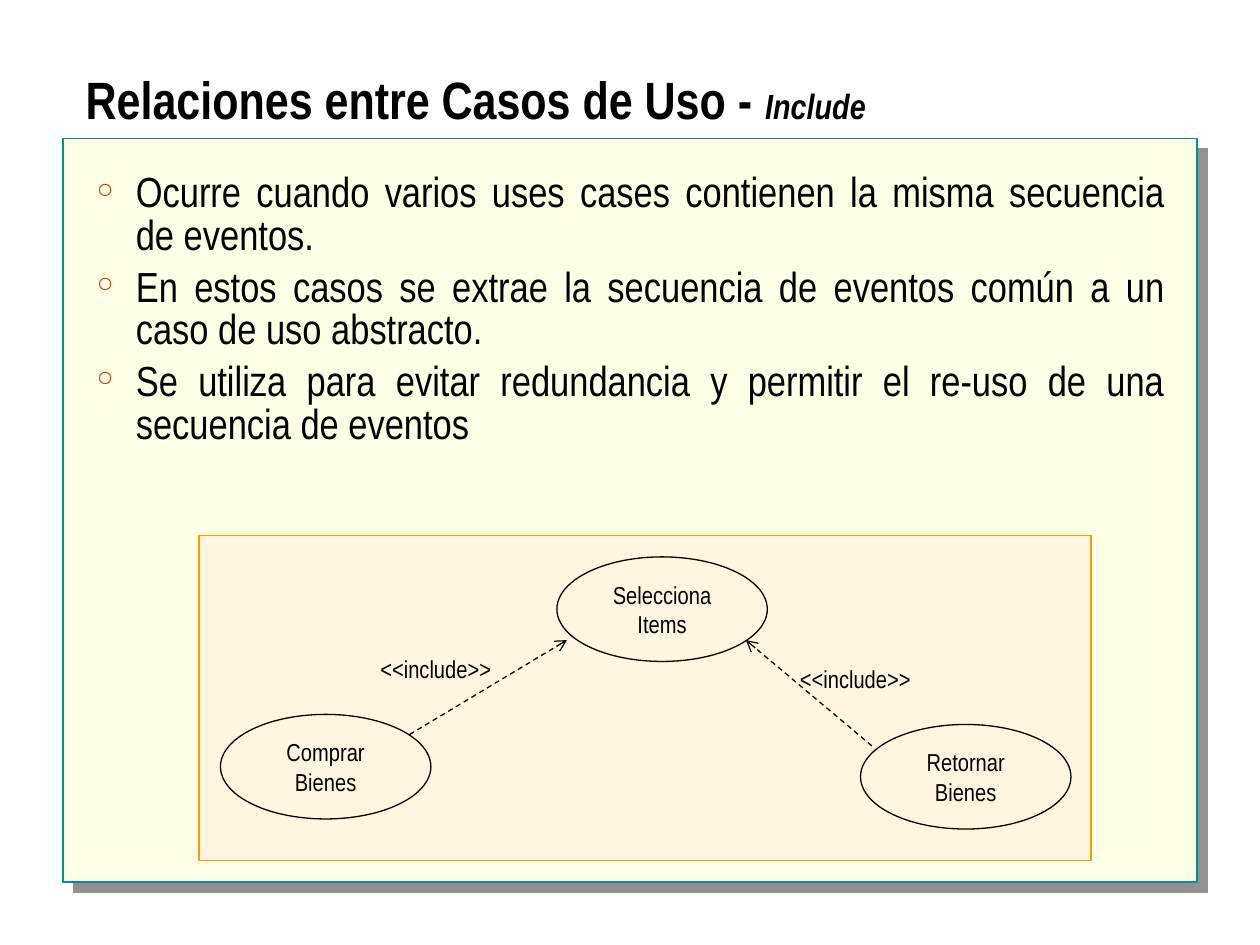
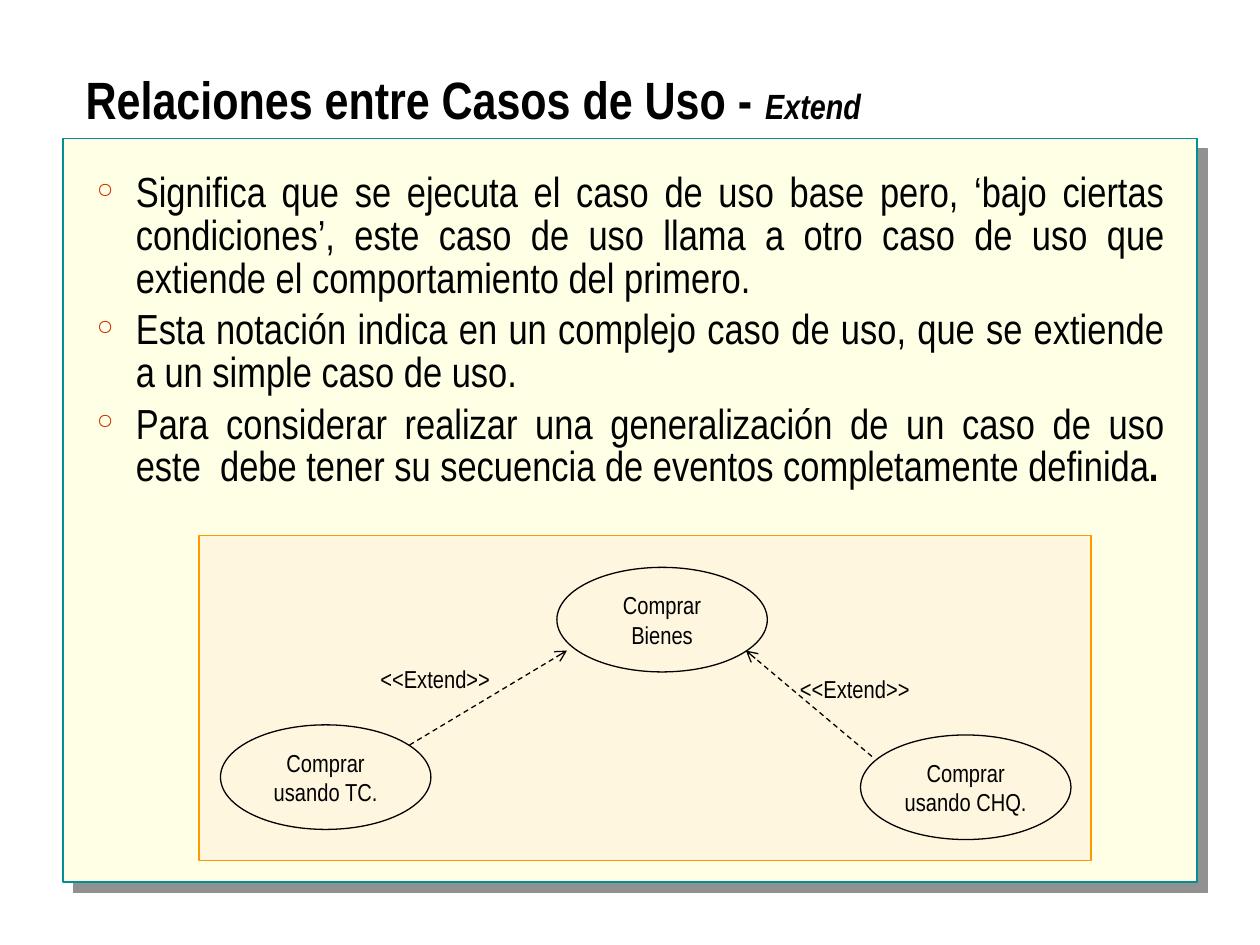
"""Build two slides on use case relations: include and extend."""
import dataclasses
import typing

import lxml.etree
import pptx
import pptx.dml.color
import pptx.enum.dml
import pptx.enum.shapes
import pptx.enum.text
import pptx.oxml.ns
import pptx.util

Inches = pptx.util.Inches
Pt = pptx.util.Pt
Align = pptx.enum.text.PP_ALIGN
Anchor = pptx.enum.text.MSO_ANCHOR
Kind = pptx.enum.shapes.MSO_SHAPE

FONT = "Arial Narrow"
BLACK = "000000"
CREAM, TEAL, GREY = "FFFFE5", "009094", "919191"
PEACH, AMBER, RED = "FFEEDD", "FF9900", "CC3300"
STEP = 1 / 12
OVAL_W, OVAL_H = 1.67, 0.83


@dataclasses.dataclass
class Run:
    """A stretch of text with its own format."""
    text: str
    size: float = 14
    bold: bool = False
    slant: bool = False


@dataclasses.dataclass
class Topic:
    """The content of one slide."""
    name: str
    points: list[list[Run]]
    label: str
    cases: list[str]
    drop: float = 0


def color(code: str) -> pptx.dml.color.RGBColor:
    """Turn a hex string into a colour."""
    return pptx.dml.color.RGBColor.from_string(code)


def child(node: typing.Any, tag: str, **attrs: str) -> typing.Any:
    """Append an XML element and return it."""
    return lxml.etree.SubElement(node, pptx.oxml.ns.qn(tag), attrs)


def write(shape: typing.Any, paras: list[list[Run]], *, align: typing.Any = Align.LEFT,
          anchor: typing.Any = Anchor.TOP, wrap: bool = True, space: float = 1,
          after: float = 0, bullet: str = "") -> None:
    """Fill a shape with formatted paragraphs."""
    frame = shape.text_frame
    frame.word_wrap, frame.vertical_anchor = wrap, anchor
    frame.auto_size = pptx.enum.text.MSO_AUTO_SIZE.NONE
    for num, runs in enumerate(paras):
        para = frame.add_paragraph() if num else frame.paragraphs[0]
        para.alignment, para.line_spacing = align, space
        para.space_before, para.space_after = Pt(0), Pt(after)
        for part in runs:
            run = para.add_run()
            run.text = part.text
            font = run.font
            font.name, font.size = FONT, Pt(part.size)
            font.bold, font.italic = part.bold, part.slant
            font.color.rgb = color(BLACK)
        if bullet:
            mark(para, bullet)


def mark(para: typing.Any, sign: str) -> None:
    """Give a paragraph a hanging red bullet."""
    props = para._p.get_or_add_pPr()
    props.set("marL", str(Inches(0.31)))
    props.set("indent", str(-Inches(0.31)))
    child(child(props, "a:buClr"), "a:srgbClr", val=RED)
    child(props, "a:buSzPct", val="50000")
    child(props, "a:buChar", char=sign)


def draw(shapes: typing.Any, kind: typing.Any, box: tuple, line: str,
         width: float = 0.75, fill: str = "") -> typing.Any:
    """Add a preset shape with a plain outline."""
    shape = shapes.add_shape(kind, *map(Inches, box))
    shape.shadow.inherit = False
    if fill:
        shape.fill.solid()
        shape.fill.fore_color.rgb = color(fill)
    else:
        shape.fill.background()
    shape.line.color.rgb = color(line)
    shape.line.width = Pt(width)
    return shape


def panel(shapes: typing.Any) -> None:
    """Add the cream panel with its hard grey shadow."""
    shape = draw(shapes, Kind.RECTANGLE, (0.5, 1.1, 9, 5.9), TEAL, 1, CREAM)
    cast = child(shape.element.spPr.find(pptx.oxml.ns.qn("a:effectLst")), "a:outerShdw",
                 dist=str(Pt(8.5)), dir="2700000", algn="ctr", rotWithShape="0")
    child(cast, "a:srgbClr", val=GREY)


def oval(shapes: typing.Any, left: float, top: float, text: str) -> None:
    """Add a use case with one centred line per word group."""
    shape = draw(shapes, Kind.OVAL, (left, top, OVAL_W, OVAL_H), BLACK)
    write(shape, [[Run(row)] for row in text.split("\n")], align=Align.CENTER,
          anchor=Anchor.MIDDLE, wrap=False)


def arrow(shapes: typing.Any, start: tuple, end: tuple) -> None:
    """Add a dashed line with an open arrowhead at its end."""
    line = shapes.add_connector(pptx.enum.shapes.MSO_CONNECTOR.STRAIGHT,
                                *map(Inches, start + end))
    line.line.color.rgb = color(BLACK)
    line.line.width = Pt(0.75)
    line.line.dash_style = pptx.enum.dml.MSO_LINE.DASH
    child(line.line._get_or_add_ln(), "a:tailEnd", type="arrow")
    child(line.element.spPr, "a:effectLst")


def chart(slide: typing.Any, topic: Topic) -> None:
    """Draw the use case diagram as one group."""
    shapes, drop = slide.shapes.add_group_shape().shapes, topic.drop
    back = draw(shapes, Kind.RECTANGLE, (1.58, 4.25, 7.08, 2.58), AMBER, fill=PEACH)
    tint = back.element.spPr.find(".//" + pptx.oxml.ns.qn("a:srgbClr"))
    child(tint, "a:alpha", val="50000")
    spots = [(4.42, 4.42), (1.75, 5.67), (6.83, 5.75)]
    for (left, top), text in zip(spots, topic.cases):
        oval(shapes, left, top + drop, text)
    arrow(shapes, (3.25, 5.83 + drop), (4.5, 5.08 + drop))
    arrow(shapes, (6.92, 5.92 + drop), (5.92, 5.08 + drop))
    for left, top in [(2.92, 5.14), (6.25, 5.22)]:
        box = shapes.add_textbox(*map(Inches, (left, top + drop, 1.08, 0.33)))
        write(box, [[Run(topic.label)]], wrap=False)


def build(deck: typing.Any, topic: Topic) -> None:
    """Add one slide for a topic."""
    slide = deck.slides.add_slide(deck.slide_layouts[5])
    panel(slide.shapes)
    title = slide.shapes.title
    title.left, title.top, title.width, title.height = map(Inches, (0.58, 0.58, 8.83, 0.5))
    write(title, [[Run("Relaciones entre Casos de Uso - ", 30, True),
                   Run(topic.name, 20, True, True)]], anchor=Anchor.MIDDLE, space=0.8)
    body = slide.shapes.add_textbox(*map(Inches, (0.67, 1.33, 8.67, 2.64)))
    write(body, topic.points, align=Align.JUSTIFY, space=0.85, after=4.8, bullet="○")
    chart(slide, topic)


TOPICS = [
    Topic("Include", [
        [Run("Ocurre cuando varios uses cases contienen la misma secuencia de eventos.", 24)],
        [Run("En estos casos se extrae la secuencia de eventos común a un caso de uso "
             "abstracto.", 24)],
        [Run("Se utiliza para evitar redundancia y permitir el re-uso de una secuencia "
             "de eventos", 24)],
    ], "<<include>>", ["Selecciona\nItems", "Comprar\nBienes", "Retornar\nBienes"]),
    Topic("Extend", [
        [Run("Significa que se ejecuta el caso de uso base pero, ‘bajo ciertas "
             "condiciones’, este caso de uso llama a otro caso de uso que extiende el "
             "comportamiento del primero.", 24)],
        [Run("Esta notación indica en un complejo caso de uso, que se extiende a un "
             "simple caso de uso.", 24)],
        [Run("Para considerar realizar una generalización de un caso de uso este  debe "
             "tener su secuencia de eventos completamente definida", 24),
         Run(".", 24, True)],
    ], "<<Extend>>", ["Comprar\nBienes", "Comprar\nusando TC.", "Comprar\nusando CHQ."],
        STEP),
]


def main() -> None:
    """Build the deck and save it."""
    deck = pptx.Presentation()
    deck.slide_width, deck.slide_height = Inches(10), Inches(7.5)
    for topic in TOPICS:
        build(deck, topic)
    deck.save("out.pptx")


main()
